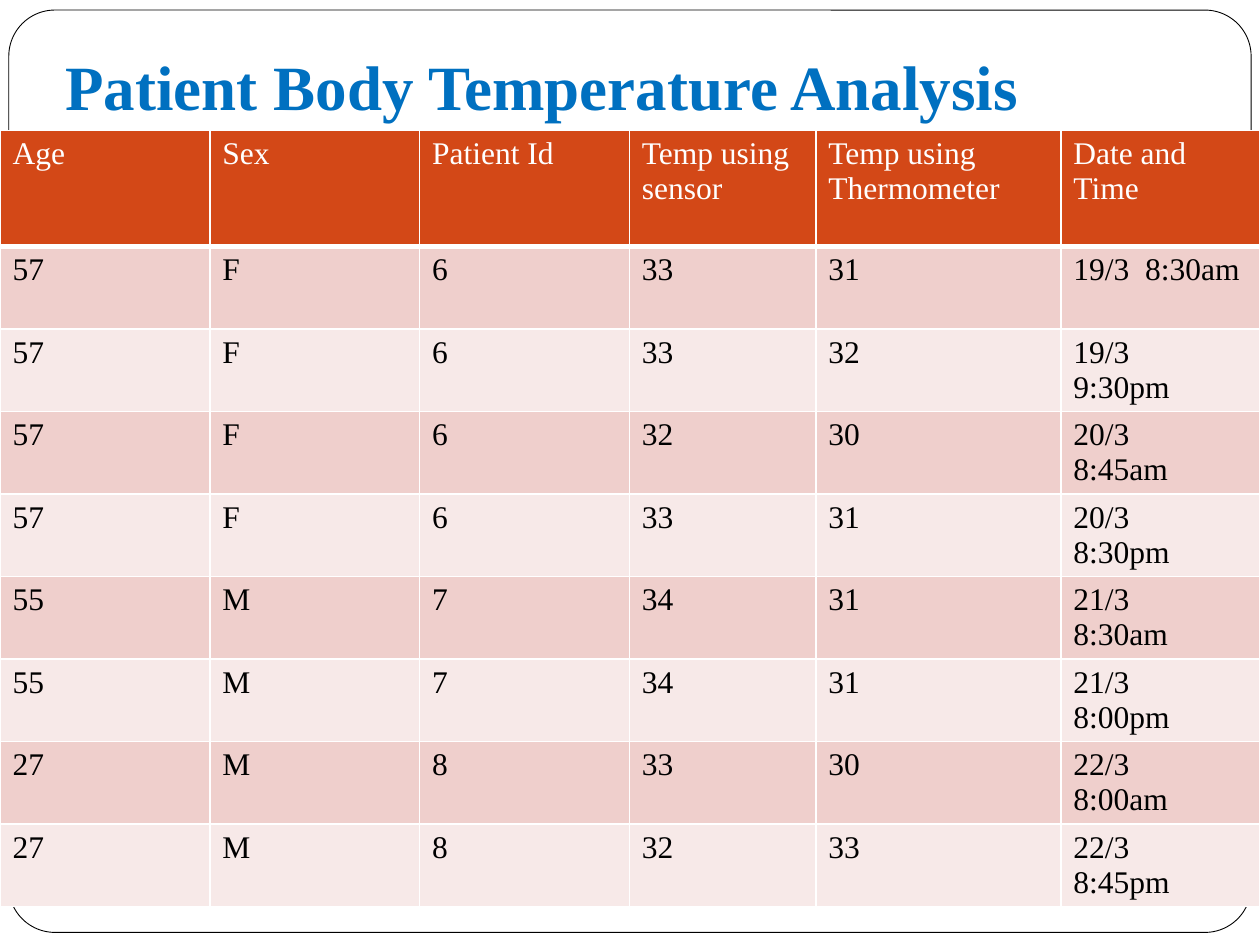
import pptx
import pptx.util
import pptx.dml.color
import pptx.enum.shapes
import pptx.enum.text
import pptx.oxml
import pptx.oxml.ns
import lxml.etree
from dataclasses import dataclass


@dataclass(frozen=True)
class Theme:
    font: str = "Times New Roman"
    title: str = "0070C0"
    head: str = "D34817"
    bands: tuple = ("EFCFCC", "F7E9E8")
    ink: str = "000000"
    paper: str = "FFFFFF"
    big: int = 36
    text: int = 18
    thin: float = 0.5
    rule: int = 1
    thick: int = 3


class Deck:
    cols, rows = 20, 15

    def __init__(self, theme):
        self.theme = theme
        self.file = pptx.Presentation()
        self.file.slide_width = pptx.util.Inches(10)
        self.file.slide_height = pptx.util.Inches(7.5)
        self.slide = self.file.slides.add_slide(self.file.slide_layouts[5])

    def wide(self, n):
        return round(self.file.slide_width * n / self.cols)

    def high(self, n):
        return round(self.file.slide_height * n / self.rows)

    def box(self, x, y, w, h):
        return self.wide(x), self.high(y), self.wide(w), self.high(h)

    def rgb(self, code):
        return pptx.dml.color.RGBColor.from_string(code)

    def style(self, frame, size, color, bold=False):
        for par in frame.paragraphs:
            for run in par.runs:
                run.font.name = self.theme.font
                run.font.size = pptx.util.Pt(size)
                run.font.bold = bold
                run.font.color.rgb = self.rgb(color)

    def frame(self, x, y, w, h, curve):
        kind = pptx.enum.shapes.MSO_SHAPE.ROUNDED_RECTANGLE
        shape = self.slide.shapes.add_shape(kind, *self.box(x, y, w, h))
        shape.shadow.inherit = False
        shape.adjustments[0] = curve
        shape.fill.solid()
        shape.fill.fore_color.rgb = self.rgb(self.theme.paper)
        shape.line.color.rgb = self.rgb(self.theme.ink)
        shape.line.width = pptx.util.Pt(self.theme.thin)

    def title(self, text, x, y, w, h):
        shape = self.slide.shapes.title
        shape.element.getparent().append(shape.element)
        shape.left, shape.top, shape.width, shape.height = self.box(x, y, w, h)
        frame = shape.text_frame
        frame.text = text
        frame.word_wrap = False
        frame.auto_size = pptx.enum.text.MSO_AUTO_SIZE.SHAPE_TO_FIT_TEXT
        frame.vertical_anchor = pptx.enum.text.MSO_ANCHOR.TOP
        frame.paragraphs[0].alignment = pptx.enum.text.PP_ALIGN.LEFT
        self.style(frame, self.theme.big, self.theme.title, True)

    def edge(self, cell, side, width):
        name = pptx.oxml.ns.qn
        props = cell._tc.get_or_add_tcPr()
        line = lxml.etree.SubElement(props, name(f"a:ln{side}"), w=str(pptx.util.Pt(width)))
        fill = lxml.etree.SubElement(line, name("a:solidFill"))
        lxml.etree.SubElement(fill, name("a:srgbClr"), val=self.theme.paper)

    def cell(self, cell, text, row):
        theme = self.theme
        top = theme.thick if row == 1 else theme.rule
        low = theme.thick if row == 0 else theme.rule
        for side, width in zip("LRTB", (theme.rule, theme.rule, top, low)):
            self.edge(cell, side, width)
        cell.fill.solid()
        back = theme.bands[(row - 1) % 2] if row else theme.head
        cell.fill.fore_color.rgb = self.rgb(back)
        cell.text_frame.text = text
        self.style(cell.text_frame, theme.text, theme.paper if row == 0 else theme.ink)

    def table(self, data, x, y, widths, heights):
        area = self.box(x, y, sum(widths), sum(heights))
        table = self.slide.shapes.add_table(len(data), len(widths), *area).table
        for col, width in zip(table.columns, widths):
            col.width = self.wide(width)
        for row, height in zip(table.rows, heights):
            row.height = self.high(height)
        for r, line in enumerate(data):
            for c, text in enumerate(line):
                self.cell(table.cell(r, c), text, r)

    def save(self):
        self.file.save("out.pptx")


HEAD = ("Age", "Sex", "Patient Id", "Temp using sensor",
        "Temp using Thermometer", "Date and Time")
READS = [
    ("57", "F", "6", "33", "31", "19/3  8:30am"),
    ("57", "F", "6", "33", "32", "19/3\n9:30pm"),
    ("57", "F", "6", "32", "30", "20/3\n8:45am"),
    ("57", "F", "6", "33", "31", "20/3\n8:30pm"),
    ("55", "M", "7", "34", "31", "21/3\n8:30am"),
    ("55", "M", "7", "34", "31", "21/3\n8:00pm"),
    ("27", "M", "8", "33", "30", "22/3\n8:00am"),
    ("27", "M", "8", "32", "33", "22/3\n8:45pm"),
]


def main():
    deck = Deck(Theme())
    deck.frame(0.14, 0.16, 19.72, 14.64, 0.05)
    widths = [3.33] * 3 + [2.96, 3.89, 3.15]
    heights = [1.84] + [1.31] * len(READS)
    deck.table([HEAD] + READS, 0, 2.07, widths, heights)
    deck.title("Patient Body Temperature Analysis", 0.84, 0.66, 15.96, 1.42)
    deck.save()


if __name__ == "__main__":
    main()
